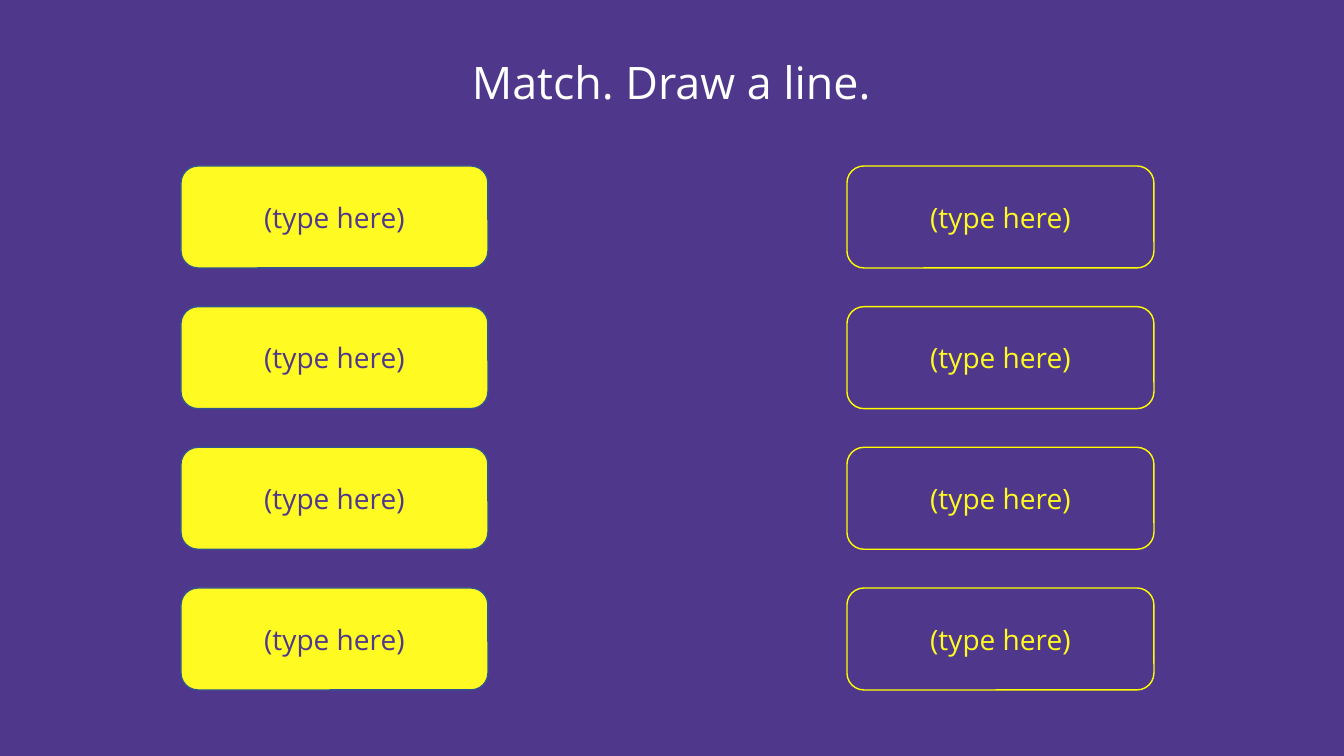
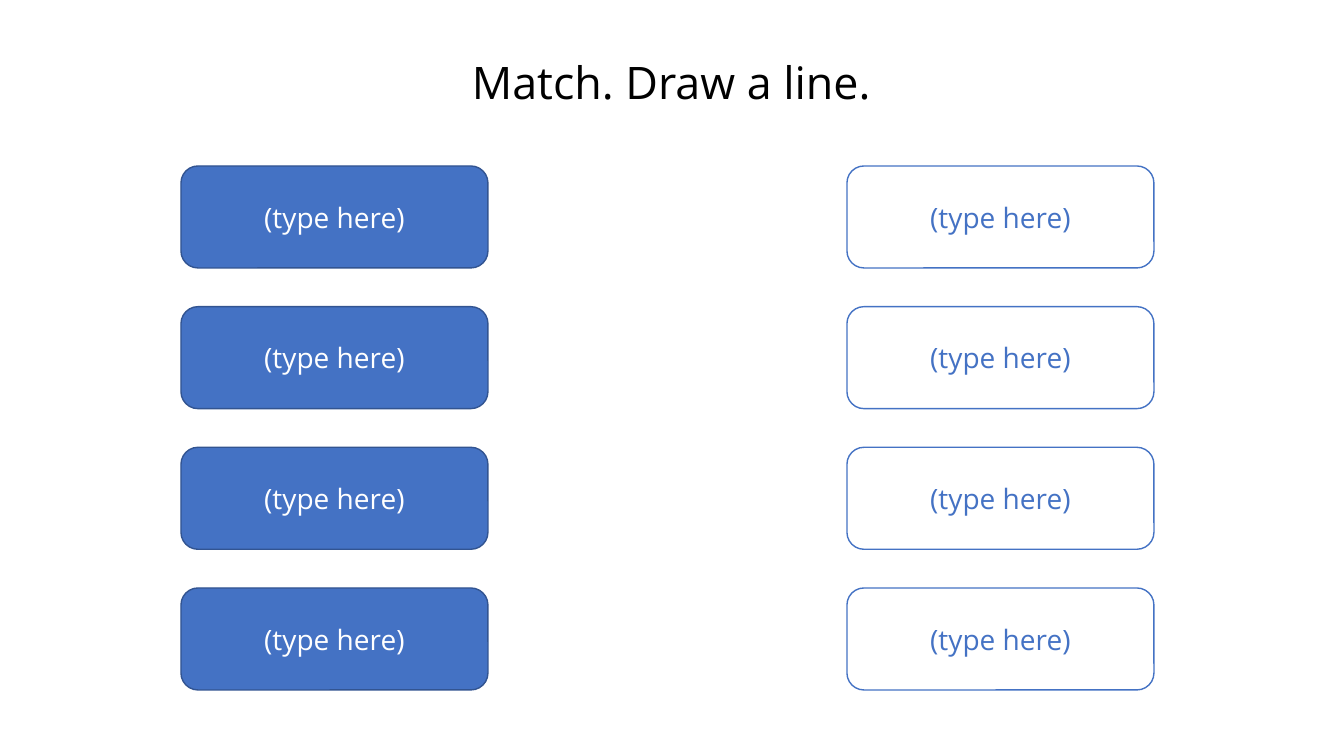
"""Builds two matching-exercise slides that share one layout in two palettes."""
from dataclasses import dataclass

import pptx
import pptx.dml.color
import pptx.enum.shapes
import pptx.enum.text
import pptx.presentation
import pptx.shapes.autoshape
import pptx.slide
import pptx.util

SLIDE_WIDTH, SLIDE_HEIGHT = 1344, 756
EMU_PER_PIXEL = 12192000 / SLIDE_WIDTH

ROW_COUNT = 4
FIRST_TOP, LAST_TOP = 166, 588
ROW_PITCH = (LAST_TOP - FIRST_TOP) / (ROW_COUNT - 1)
CARD_WIDTH, CARD_HEIGHT = 307, 102
LEFT_COLUMN, RIGHT_COLUMN = 181, 847
TITLE_LEFT, TITLE_TOP, TITLE_WIDTH, TITLE_HEIGHT = 417, 50, 509, 65

TITLE_TEXT = "Match. Draw a line."
CARD_TEXT = "(type here)"


@dataclass(frozen=True)
class CardStyle:
    """Colours of the cards in one column."""
    fill: str
    line: str
    text: str


@dataclass(frozen=True)
class Palette:
    """Colours of one slide."""
    background: str
    title: str
    prompt: CardStyle
    answer: CardStyle


@dataclass(frozen=True)
class Theme:
    """Type, line width and palettes of the presentation."""
    font: str
    title_size: int
    card_size: int
    line_width: int
    palettes: tuple[Palette, ...]


THEME = Theme(
    font="Open Sans",
    title_size=32,
    card_size=20,
    line_width=1,
    palettes=(
        Palette("4F388C", "FFFFFF",
                prompt=CardStyle("FFFA21", "325491", "4F388C"),
                answer=CardStyle("4F388C", "FFFF00", "FFFA21")),
        Palette("FFFFFF", "000000",
                prompt=CardStyle("4472C4", "325491", "FFFFFF"),
                answer=CardStyle("FFFFFF", "4472C4", "4472C4")),
    ),
)


def emu(pixels: float) -> pptx.util.Emu:
    """Convert pixels to EMU."""
    return pptx.util.Emu(round(pixels * EMU_PER_PIXEL))


def rgb(value: str) -> pptx.dml.color.RGBColor:
    """Convert a hexadecimal string to a colour."""
    return pptx.dml.color.RGBColor.from_string(value)


def write_text(shape: pptx.shapes.autoshape.Shape, text: str, size: int, color: str) -> None:
    """Put one centred line of text in a shape."""
    shape.text_frame.word_wrap = True
    paragraph = shape.text_frame.paragraphs[0]
    paragraph.text = text
    paragraph.alignment = pptx.enum.text.PP_ALIGN.CENTER
    for run in paragraph.runs:
        run.font.name = THEME.font
        run.font.size = pptx.util.Pt(size)
        run.font.color.rgb = rgb(color)


def add_card(slide: pptx.slide.Slide, left: float, top: float, style: CardStyle) -> None:
    """Draw one rounded card."""
    card = slide.shapes.add_shape(
        pptx.enum.shapes.MSO_SHAPE.ROUNDED_RECTANGLE,
        emu(left), emu(top), emu(CARD_WIDTH), emu(CARD_HEIGHT))
    card.shadow.inherit = False
    card.fill.solid()
    card.fill.fore_color.rgb = rgb(style.fill)
    card.line.color.rgb = rgb(style.line)
    card.line.width = pptx.util.Pt(THEME.line_width)
    card.text_frame.vertical_anchor = pptx.enum.text.MSO_ANCHOR.MIDDLE
    write_text(card, CARD_TEXT, THEME.card_size, style.text)


def add_column(slide: pptx.slide.Slide, left: float, style: CardStyle) -> None:
    """Draw a column of evenly spaced cards."""
    for row in range(ROW_COUNT):
        add_card(slide, left, FIRST_TOP + row * ROW_PITCH, style)


def add_title(slide: pptx.slide.Slide, color: str) -> None:
    """Draw the slide title."""
    title = slide.shapes.add_textbox(
        emu(TITLE_LEFT), emu(TITLE_TOP), emu(TITLE_WIDTH), emu(TITLE_HEIGHT))
    title.text_frame.auto_size = pptx.enum.text.MSO_AUTO_SIZE.SHAPE_TO_FIT_TEXT
    write_text(title, TITLE_TEXT, THEME.title_size, color)


def add_matching_slide(presentation: pptx.presentation.Presentation, palette: Palette) -> None:
    """Add one matching exercise in the given palette."""
    slide = presentation.slides.add_slide(presentation.slide_layouts[6])
    slide.background.fill.solid()
    slide.background.fill.fore_color.rgb = rgb(palette.background)
    add_column(slide, LEFT_COLUMN, palette.prompt)
    add_column(slide, RIGHT_COLUMN, palette.answer)
    add_title(slide, palette.title)


def main() -> None:
    """Build and save the presentation."""
    presentation = pptx.Presentation()
    presentation.slide_width = emu(SLIDE_WIDTH)
    presentation.slide_height = emu(SLIDE_HEIGHT)
    for palette in THEME.palettes:
        add_matching_slide(presentation, palette)
    presentation.save("out.pptx")


main()
